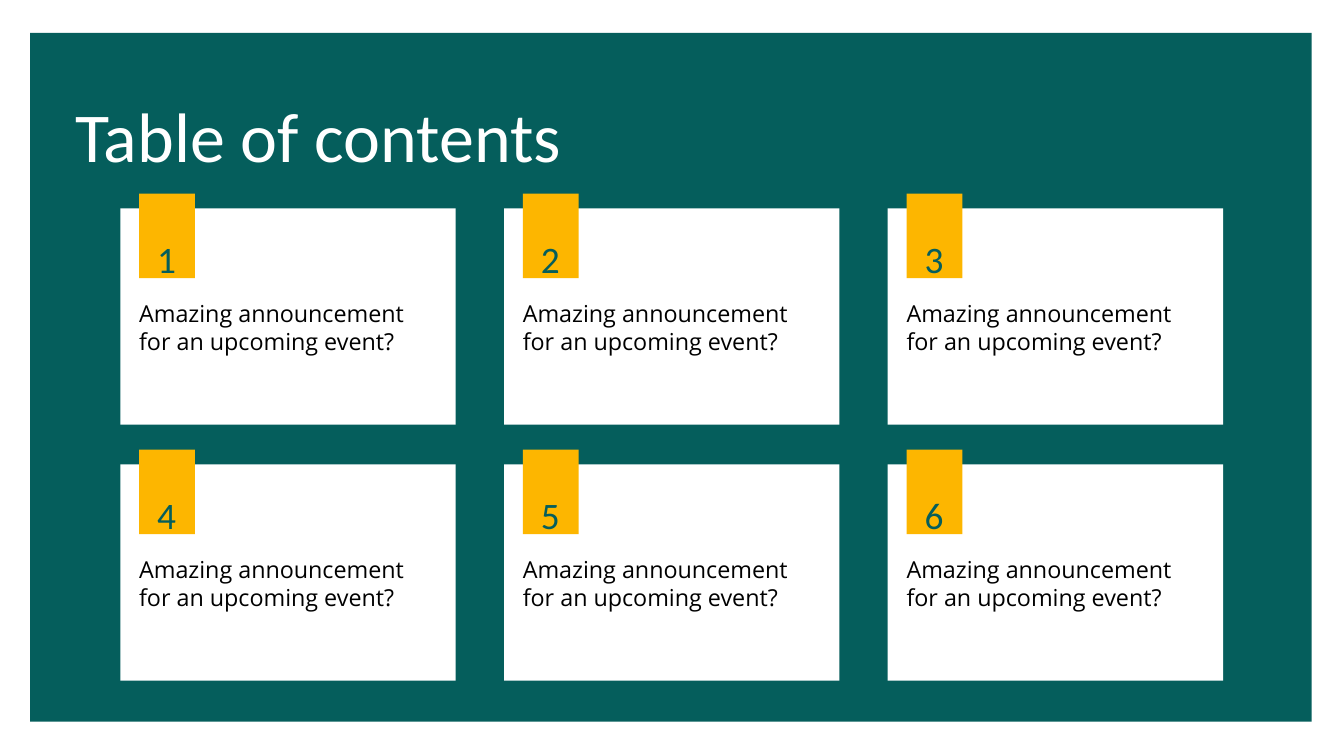
from pptx import Presentation
from pptx.dml.color import RGBColor
from pptx.enum.shapes import MSO_SHAPE
from pptx.enum.text import MSO_ANCHOR, MSO_AUTO_SIZE, PP_ALIGN
from pptx.util import Inches, Pt

COLORS = {"teal": "055E5C", "yellow": "FDB600", "white": "FFFFFF", "black": "000000"}
COLUMNS, ROWS = 3, 2
LEFT, TOP = 1.79, 3.1
COLUMN_STEP, ROW_STEP = 5.71, 3.81
CARD_WIDTH, CARD_HEIGHT = 4.99, 3.22
INSET = 0.28
ANNOUNCEMENT = ["Amazing announcement", "for an upcoming event?"]


def add_block(left, top, width, height, color):
    block = page.shapes.add_shape(
        MSO_SHAPE.RECTANGLE, Inches(left), Inches(top), Inches(width), Inches(height))
    block.shadow.inherit = False
    block.fill.solid()
    block.fill.fore_color.rgb = RGBColor.from_string(COLORS[color])
    block.line.fill.background()
    return block


def write_text(box, place, lines, font, size, color, spacing):
    """Place a text box at (left, top, width, height) and write one paragraph per line."""
    box.left, box.top, box.width, box.height = [Inches(length) for length in place]
    frame = box.text_frame
    frame.word_wrap = True
    frame.auto_size = MSO_AUTO_SIZE.NONE
    frame.vertical_anchor = MSO_ANCHOR.TOP
    frame.margin_left = frame.margin_top = frame.margin_right = frame.margin_bottom = 0
    for index, line in enumerate(lines):
        para = frame.add_paragraph() if index else frame.paragraphs[0]
        para.alignment = PP_ALIGN.LEFT
        para.line_spacing = spacing
        para.space_before = Pt(0)
        span = para.add_run()
        span.text = line
        span.font.name = font
        span.font.size = Pt(size)
        span.font.color.rgb = RGBColor.from_string(COLORS[color])


deck = Presentation()
deck.slide_width, deck.slide_height = Inches(20), Inches(11.25)
page = deck.slides.add_slide(deck.slide_layouts[5])
page.background.fill.solid()
page.background.fill.fore_color.rgb = RGBColor.from_string(COLORS["white"])

# The panel goes behind the title placeholder
panel = add_block(0.45, 0.49, 19.07, 10.25, "teal")
page.shapes.title.element.addprevious(panel.element)
write_text(page.shapes.title, (1.12, 1.12, 9.42, 1.25), ["Table of contents"],
           "Calibri", 75, "white", 1.2)

for index in range(COLUMNS * ROWS):
    row, column = divmod(index, COLUMNS)
    left = LEFT + column * COLUMN_STEP
    top = TOP + row * ROW_STEP
    inner = left + INSET
    add_block(left, top, CARD_WIDTH, CARD_HEIGHT, "white")
    add_block(inner, top - 0.22, 0.83, 1.26, "yellow")
    announcement = page.shapes.add_textbox(0, 0, 0, 0)
    write_text(announcement, (inner, top + 1.35, 4.33, 0.84), ANNOUNCEMENT,
               "Open Sans", 25, "black", Pt(30))
    number = page.shapes.add_textbox(0, 0, 0, 0)
    write_text(number, (inner + 0.27, top + 0.22, 0.36, 0.69), [str(index + 1)],
               "Calibri", 40, "teal", 1.3)

deck.save("out.pptx")
